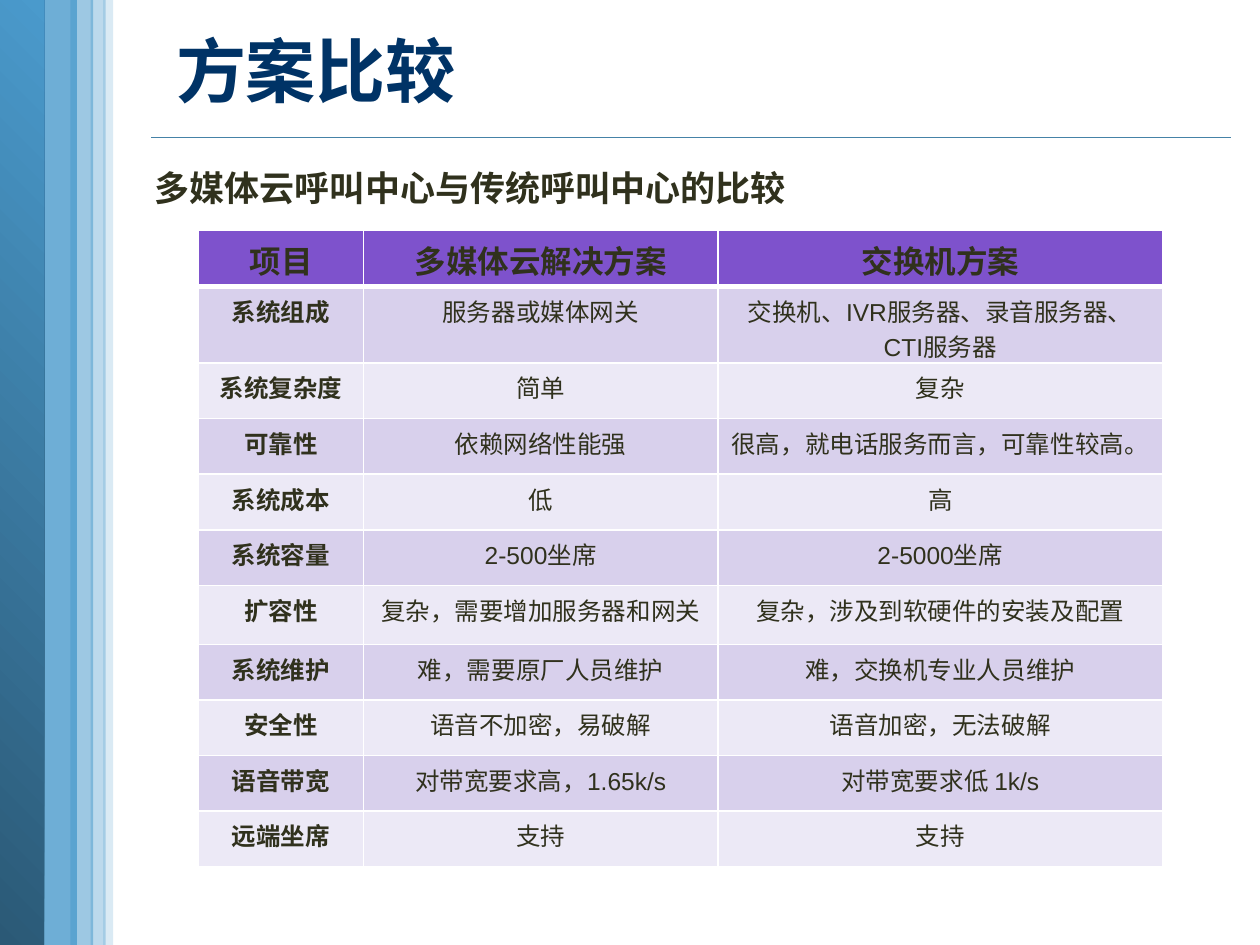
from dataclasses import dataclass

from lxml.etree import SubElement
from pptx import Presentation
from pptx.dml.color import RGBColor
from pptx.enum.shapes import MSO_CONNECTOR, MSO_SHAPE
from pptx.enum.text import MSO_ANCHOR, PP_ALIGN
from pptx.oxml.ns import qn
from pptx.util import Cm, Pt


@dataclass(frozen=True)
class Theme:
    font: str = "Arial"
    title: str = "003366"
    text: str = "30311D"
    rule: str = "4582A7"
    band: str = "4A9ACC"
    band_dark: str = "2B5976"
    header_fill: str = "7E52CC"
    row_fills: tuple[str, str] = ("D8D0EC", "ECE9F6")
    border: str = "FFFFFF"
    title_size: int = 40
    subtitle_size: int = 20
    header_size: int = 18
    cell_size: int = 14


@dataclass(frozen=True)
class Band:
    """A vertical stripe; opacity in percent, None for the gradient stripe."""
    left: float
    top: float
    width: float
    height: float
    opacity: int | None


THEME = Theme()
BANDS = (
    Band(0.76, 0, 0.79, 19.13, 80),
    Band(-0.03, 0, 0.92, 19.05, None),
    Band(2.08, -0.05, 0.2, 19.1, 20),
    Band(1.42, 0, 0.46, 19.08, 54),
    Band(1.83, 0, 0.3, 19.1, 37),
)
COLUMN_WIDTHS = (3.33, 7.14, 8.97)
ROW_HEIGHT = 1.12
TALLER_ROWS = {1: 1.55, 6: 1.19}
COMPARISON = (
    ("项目", "多媒体云解决方案", "交换机方案"),
    ("系统组成", "服务器或媒体网关", "交换机、IVR服务器、录音服务器、CTI服务器"),
    ("系统复杂度", "简单", "复杂"),
    ("可靠性", "依赖网络性能强", "很高，就电话服务而言，可靠性较高。"),
    ("系统成本", "低", "高"),
    ("系统容量", "2-500坐席", "2-5000坐席"),
    ("扩容性", "复杂，需要增加服务器和网关", "复杂，涉及到软硬件的安装及配置"),
    ("系统维护", "难，需要原厂人员维护", "难，交换机专业人员维护"),
    ("安全性", "语音不加密，易破解", "语音加密，无法破解"),
    ("语音带宽", "对带宽要求高，1.65k/s", "对带宽要求低 1k/s"),
    ("远端坐席", "支持", "支持"),
)


def add_run(paragraph, text: str, size: int, color: str, bold: bool) -> None:
    run = paragraph.add_run()
    run.text = text
    run.font.name = THEME.font
    run.font.size = Pt(size)
    run.font.bold = bold
    run.font.color.rgb = RGBColor.from_string(color)


def add_band(slide, band: Band) -> None:
    shape = slide.shapes.add_shape(
        MSO_SHAPE.RECTANGLE, Cm(band.left), Cm(band.top), Cm(band.width), Cm(band.height))
    shape.shadow.inherit = False
    shape.line.fill.background()
    if band.opacity is None:
        shape.fill.gradient()
        shape.fill.gradient_angle = 45
        for stop, color in zip(shape.fill.gradient_stops, (THEME.band_dark, THEME.band)):
            stop.color.rgb = RGBColor.from_string(color)
    else:
        shape.fill.solid()
        shape.fill.fore_color.rgb = RGBColor.from_string(THEME.band)
        color_element = shape._element.spPr.find(".//" + qn("a:srgbClr"))
        SubElement(color_element, qn("a:alpha"), val=str(band.opacity * 1000))


def add_rule(slide) -> None:
    rule = slide.shapes.add_connector(
        MSO_CONNECTOR.STRAIGHT, Cm(3.05), Cm(2.77), Cm(24.82), Cm(2.77))
    rule.line.color.rgb = RGBColor.from_string(THEME.rule)
    rule.line.width = Pt(1)
    SubElement(rule._element.spPr, qn("a:effectLst"))


def add_heading(slide, text: str, box: tuple[float, float, float, float],
                size: int, color: str, anchor: MSO_ANCHOR) -> None:
    frame = slide.shapes.add_textbox(*map(Cm, box)).text_frame
    frame.word_wrap = True
    frame.vertical_anchor = anchor
    add_run(frame.paragraphs[0], text, size, color, True)


def set_borders(cell, top: int, bottom: int) -> None:
    """Draw all four borders; must come before the cell's fill is set."""
    properties = cell._tc.get_or_add_tcPr()
    for side, points in (("L", 1), ("R", 1), ("T", top), ("B", bottom)):
        line = SubElement(properties, qn(f"a:ln{side}"), w=str(Pt(points)))
        fill = SubElement(line, qn("a:solidFill"))
        SubElement(fill, qn("a:srgbClr"), val=THEME.border)


def add_comparison_table(slide) -> None:
    heights = [TALLER_ROWS.get(index, ROW_HEIGHT) for index in range(len(COMPARISON))]
    table = slide.shapes.add_table(
        len(COMPARISON), len(COLUMN_WIDTHS), Cm(4), Cm(4.65),
        Cm(sum(COLUMN_WIDTHS)), Cm(sum(heights))).table
    table.first_row = table.horz_banding = False
    for column, width in zip(table.columns, COLUMN_WIDTHS):
        column.width = Cm(width)
    for row_index, (row, height) in enumerate(zip(table.rows, heights)):
        row.height = Cm(height)
        header = row_index == 0
        color = THEME.header_fill if header else THEME.row_fills[(row_index - 1) % 2]
        size = THEME.header_size if header else THEME.cell_size
        for column_index, text in enumerate(COMPARISON[row_index]):
            cell = table.cell(row_index, column_index)
            set_borders(cell, top=3 if row_index == 1 else 1, bottom=3 if header else 1)
            cell.fill.solid()
            cell.fill.fore_color.rgb = RGBColor.from_string(color)
            paragraph = cell.text_frame.paragraphs[0]
            paragraph.alignment = PP_ALIGN.CENTER
            add_run(paragraph, text, size, THEME.text, header or column_index == 0)


def main() -> None:
    presentation = Presentation()
    presentation.slide_width, presentation.slide_height = Cm(25.4), Cm(19.05)
    slide = presentation.slides.add_slide(presentation.slide_layouts[6])
    add_rule(slide)
    for band in BANDS:
        add_band(slide, band)
    add_heading(slide, "方案比较", (3.3, 0, 22.1, 2.82),
                THEME.title_size, THEME.title, MSO_ANCHOR.MIDDLE)
    add_heading(slide, "多媒体云呼叫中心与传统呼叫中心的比较", (2.87, 3.23, 22.12, 1.17),
                THEME.subtitle_size, THEME.text, MSO_ANCHOR.TOP)
    add_comparison_table(slide)
    presentation.save("out.pptx")


if __name__ == "__main__":
    main()
